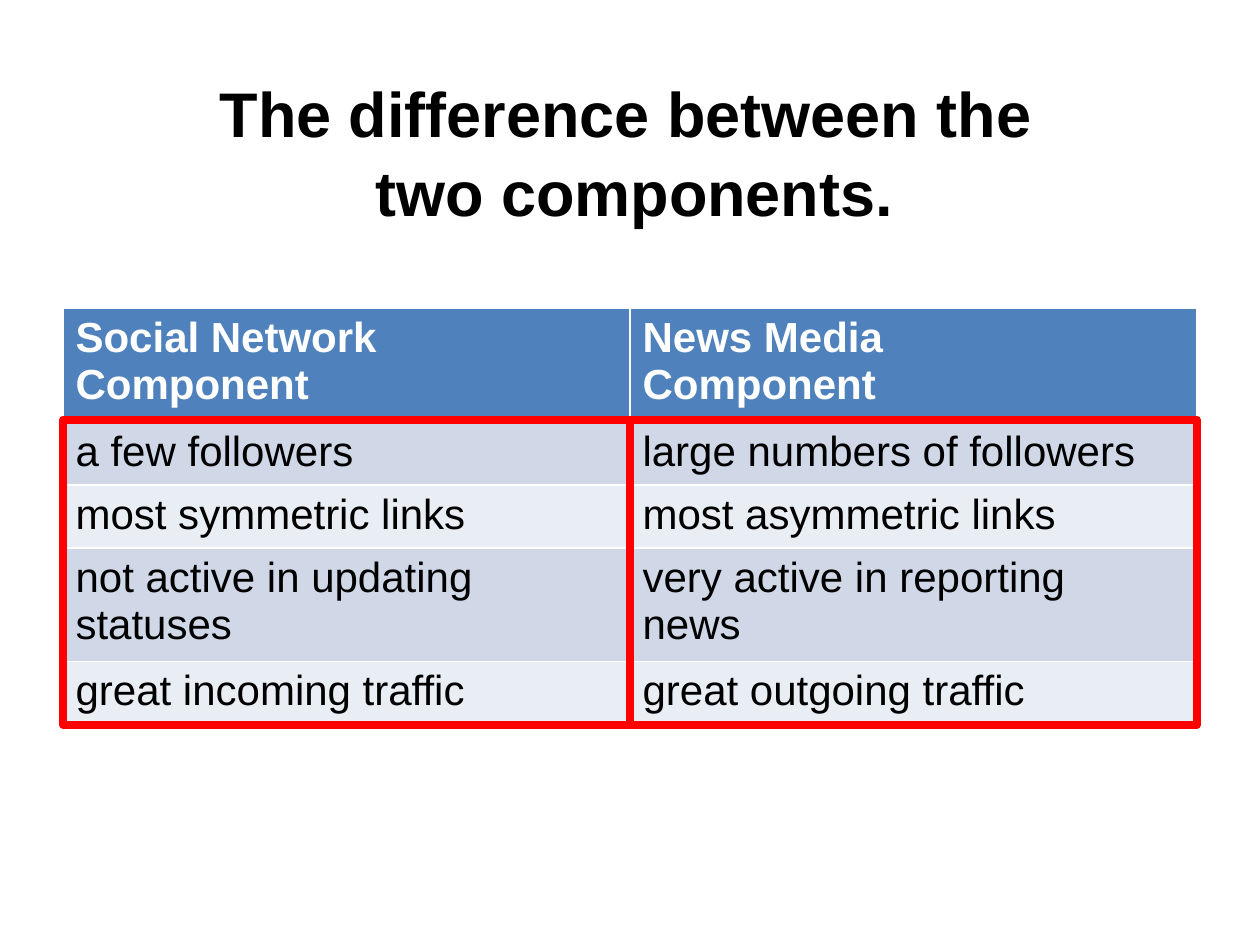
from lxml import etree
from pptx import Presentation
from pptx.dml.color import RGBColor
from pptx.enum import shapes, text
from pptx.oxml.ns import qn
from pptx.util import Cm, Pt

TITLE = "The difference between the \vtwo components."
# A newline inside a cell starts a new paragraph.
ROWS = [
    ("Social Network Component", "News Media\nComponent"),
    ("a few followers", "large numbers of followers"),
    ("most symmetric links", "most asymmetric links"),
    ("not active in updating statuses", "very active in reporting\nnews"),
    ("great incoming traffic", "great outgoing traffic"),
]
COLORS = {
    "text": "000000",
    "white": "FFFFFF",
    "header": "4F81BD",
    "odd": "D0D8E8",
    "even": "E9EDF4",
    "frame": "FF0000",
}
LEFT, TABLE_TOP, COL_W, ROW_H = 1.27, 6.22, 11.43, 1.04
FRAME_TOP, FRAME_H = 8.46, 6.15


def rgb(name):
    return RGBColor.from_string(COLORS[name])


def write(tf, content, size=24, color="text", bold=False, align=None, spacing=None):
    tf.word_wrap = True
    tf.text = content
    for p in tf.paragraphs:
        p.alignment = align
        p.line_spacing = spacing
        for r in p.runs:
            r.font.name = "Arial"
            r.font.size = Pt(size)
            r.font.bold = bold
            r.font.color.rgb = rgb(color)


def set_borders(cell, bottom=1, top=1):
    """Draw white cell borders; they must precede the fill in tcPr."""
    tc_pr = cell._tc.get_or_add_tcPr()
    widths = {"a:lnL": 1, "a:lnR": 1, "a:lnT": top, "a:lnB": bottom}
    for i, (tag, width) in enumerate(widths.items()):
        ln = etree.Element(qn(tag), w=str(Pt(width)))
        fill = etree.SubElement(ln, qn("a:solidFill"))
        etree.SubElement(fill, qn("a:srgbClr"), val=COLORS["white"])
        tc_pr.insert(i, ln)


def add_title(s):
    tf = s.shapes.add_textbox(Cm(2.77), Cm(2.24), Cm(20.04), Cm(1.57)).text_frame
    tf.vertical_anchor = text.MSO_ANCHOR.MIDDLE
    write(tf, TITLE, size=36, bold=True, align=text.PP_ALIGN.CENTER, spacing=1.05)


def add_comparison(s):
    n_cols = len(ROWS[0])
    table = s.shapes.add_table(
        len(ROWS), n_cols, Cm(LEFT), Cm(TABLE_TOP),
        Cm(COL_W * n_cols), Cm(ROW_H * len(ROWS))).table
    for i, row in enumerate(ROWS):
        header = i == 0
        fill = "header" if header else ("even", "odd")[i % 2]
        for j, content in enumerate(row):
            cell = table.cell(i, j)
            cell.fill.solid()
            cell.fill.fore_color.rgb = rgb(fill)
            set_borders(cell, bottom=3 if header else 1, top=3 if i == 1 else 1)
            write(cell.text_frame, content, bold=header,
                  color="white" if header else "text")


def add_frames(s):
    for j in range(len(ROWS[0])):
        sp = s.shapes.add_shape(
            shapes.MSO_SHAPE.RECTANGLE, Cm(LEFT + j * COL_W), Cm(FRAME_TOP),
            Cm(COL_W), Cm(FRAME_H))
        sp.shadow.inherit = False
        sp.fill.background()
        sp.line.color.rgb = rgb("frame")
        sp.line.width = Pt(4.5)


def main():
    prs = Presentation()
    prs.slide_width, prs.slide_height = Cm(25.4), Cm(19.05)
    s = prs.slides.add_slide(prs.slide_layouts[6])
    add_title(s)
    add_comparison(s)
    add_frames(s)
    prs.save("out.pptx")


if __name__ == "__main__":
    main()
